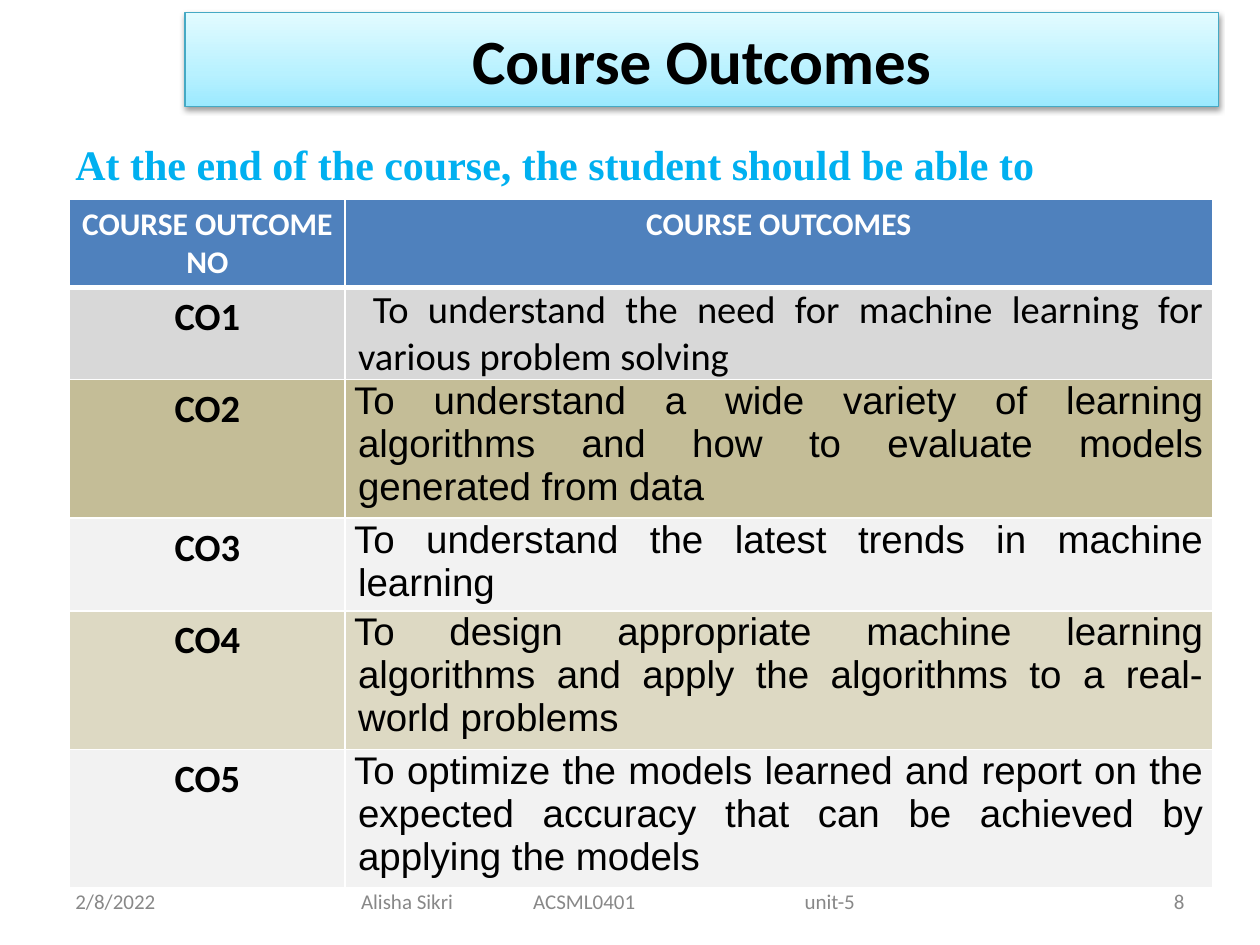
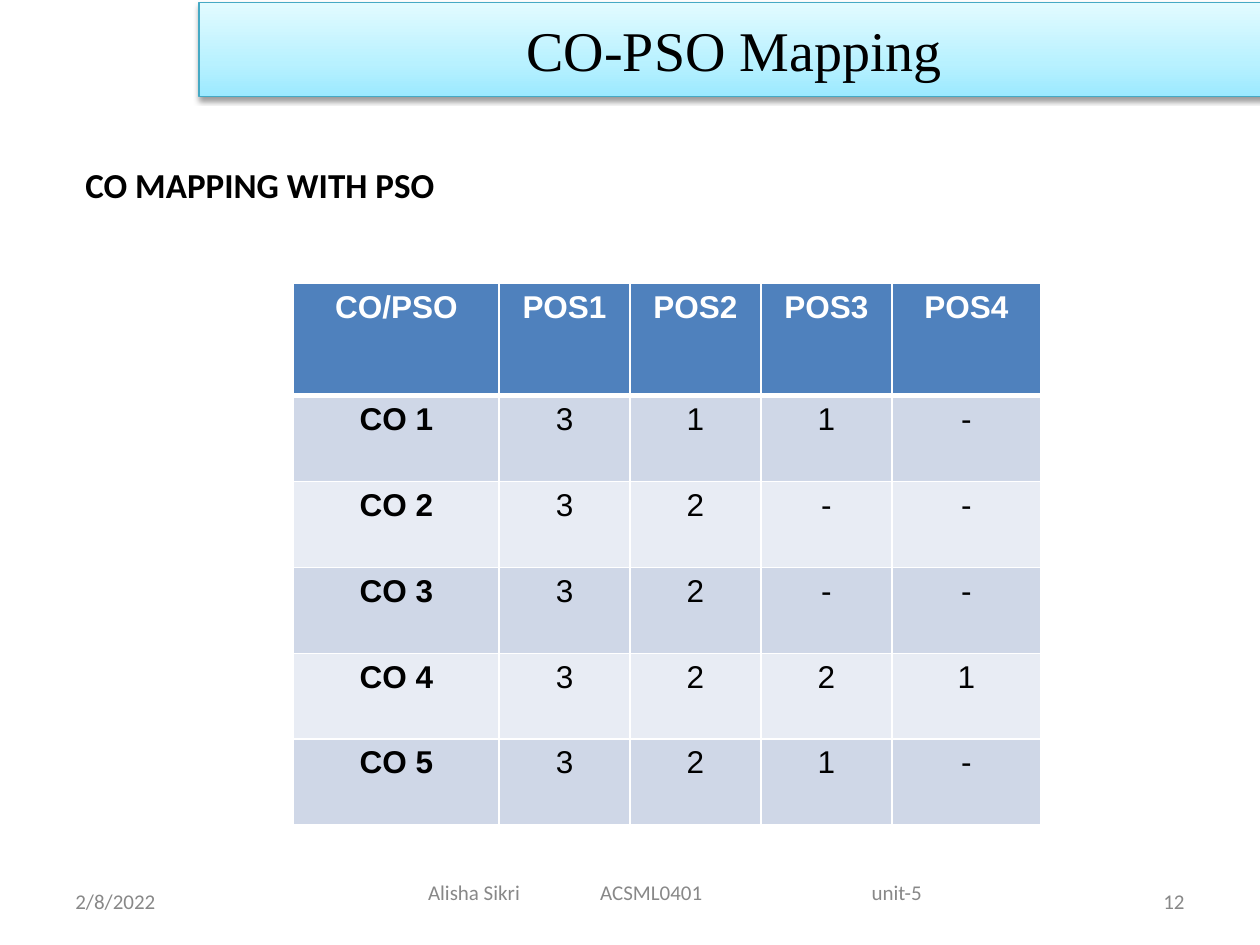
import pptx
import pptx.util
import pptx.dml.color
import pptx.enum.shapes
import pptx.enum.text
import pptx.oxml
import pptx.oxml.ns
from lxml import etree

Cm = pptx.util.Cm
Pt = pptx.util.Pt
qn = pptx.oxml.ns.qn
ALIGN = pptx.enum.text.PP_ALIGN
ANCHOR = pptx.enum.text.MSO_ANCHOR

SANS, ARIAL, SERIF = "Calibri", "Arial", "Times New Roman"
BLACK, WHITE, GREY = "000000", "FFFFFF", "888888"
HEADER, SKY, BAND_LINE = "4F81BD", "00B0F0", "45A9C4"
BAND_STOPS = [(0, "9BE9FF"), (35, "B8F1FF"), (100, "E2FBFF")]
OUTCOME_FILLS = ["D8D8D8", "C4BD97", "F2F2F2", "DDD9C3", "F2F2F2"]
MAPPING_FILLS = ["CFD7E7", "E8ECF4"]
FOOTER_PARTS = ["Alisha Sikri", "ACSML0401", "unit-5"]
FOOTER_TABS = [3.47, 8.94]
FOOTER_TEXT_WIDTH = 9.97

OUTCOMES = [
    "To understand the need for machine learning for various problem solving",
    "To understand a wide variety of learning algorithms and how to evaluate models generated from data",
    "To understand the latest trends in machine learning",
    "To design appropriate machine learning algorithms and apply the algorithms to a real-world problems",
    "To optimize the models learned and report on the expected accuracy that can be achieved by applying the models",
]
MAPPING = ["311-", "32--", "32--", "3221", "321-"]


def rgb(value):
    return pptx.dml.color.RGBColor.from_string(value)


def add_xml(parent, tag, **attrs):
    return etree.SubElement(parent, qn(tag), {k: str(v) for k, v in attrs.items()})


def write(tf, text, size, font=SANS, color=BLACK, bold=False, align=ALIGN.LEFT):
    p = tf.paragraphs[0]
    p.text = text
    p.alignment = align
    p.font.size = Pt(size)
    p.font.name = font
    p.font.bold = bold
    p.font.color.rgb = rgb(color)
    return p


def add_text(slide, box, text, size, anchor=ANCHOR.TOP, **style):
    sp = slide.shapes.add_textbox(*map(Cm, box))
    tf = sp.text_frame
    tf.word_wrap = True
    tf.vertical_anchor = anchor
    write(tf, text, size, **style)
    return tf


def add_title_band(slide, box, text, size, **style):
    sp = slide.shapes.add_shape(pptx.enum.shapes.MSO_SHAPE.RECTANGLE, *map(Cm, box))
    sp.shadow.inherit = False
    sp.fill.gradient()
    sp.fill.gradient_angle = 90
    props = sp._element.spPr
    stops = props.find(".//" + qn("a:gsLst"))
    for stop in list(stops):
        stops.remove(stop)
    for position, color in BAND_STOPS:
        stop = add_xml(stops, "a:gs", pos=position * 1000)
        add_xml(stop, "a:srgbClr", val=color)
    sp.line.color.rgb = rgb(BAND_LINE)
    sp.line.width = Pt(0.75)
    shadow = add_xml(props.find(qn("a:effectLst")), "a:outerShdw", blurRad=Pt(3.1),
                     dist=Pt(1.6), dir=5400000, rotWithShape=0)
    add_xml(add_xml(shadow, "a:srgbClr", val=BLACK), "a:alpha", val=38000)
    sp.text_frame.vertical_anchor = ANCHOR.MIDDLE
    write(sp.text_frame, text, size, align=ALIGN.CENTER, **style)


def add_footer(slide, number, box):
    style = dict(size=12, color=GREY, anchor=ANCHOR.MIDDLE)
    add_text(slide, (1.27, 17.65, 5.92, 1.02), "2/8/2022", **style)
    add_text(slide, (18.21, 17.65, 5.92, 1.02), number, align=ALIGN.RIGHT, **style)
    tf = add_text(slide, box, "", **style)
    tf.margin_left = Cm((box[2] - FOOTER_TEXT_WIDTH) / 2)
    p = tf.paragraphs[0]
    props = p._p.get_or_add_pPr()
    for child in list(props):
        props.remove(child)
    tabs = add_xml(props, "a:tabLst")
    for position in FOOTER_TABS:
        add_xml(tabs, "a:tab", pos=Cm(position), algn="l")
    write(tf, "\t".join(FOOTER_PARTS), 12, color=GREY)


def style_cell(cell, fill, bottom_width):
    cell.fill.solid()
    cell.fill.fore_color.rgb = rgb(fill)
    props = cell._tc.get_or_add_tcPr()
    for i, side in enumerate("LRTB"):
        width = bottom_width if side == "B" else 1
        line = add_xml(props, "a:ln" + side, w=Pt(width))
        add_xml(add_xml(line, "a:solidFill"), "a:srgbClr", val=WHITE)
        props.insert(i, line)


def add_grid(slide, left, top, widths, heights, headings, fills, font):
    frame = slide.shapes.add_table(len(heights), len(widths), Cm(left), Cm(top),
                                   Cm(sum(widths)), Cm(sum(heights)))
    table = frame.table
    for column, width in zip(table.columns, widths):
        column.width = Cm(width)
    for i, (row, height) in enumerate(zip(table.rows, heights)):
        row.height = Cm(height)
        for cell in row.cells:
            fill = fills[(i - 1) % len(fills)] if i else HEADER
            style_cell(cell, fill, 1 if i else 3)
    for cell, heading in zip(table.rows[0].cells, headings):
        write(cell.text_frame, heading, 18, font, WHITE, True, ALIGN.CENTER)
    return table


def write_outcome(cell, text, font, indent):
    cell.margin_left = cell.margin_right = Cm(0.18)
    cell.margin_top = cell.margin_bottom = 0
    p = write(cell.text_frame, text, 22, font, align=ALIGN.JUSTIFY)
    props = p._p.get_or_add_pPr()
    props.set("marL", str(Cm(0.08)))
    props.set("indent", str(Cm(indent)))


def build_outcomes(slide):
    add_title_band(slide, (3.73, 0.25, 20.83, 1.9), "Course Outcomes", 36, bold=True)
    add_text(slide, (1.27, 2.67, 20.12, 1.27),
             "At the end of the course, the student should be able to", 24,
             font=SERIF, color=SKY, bold=True)
    add_footer(slide, "8", (1.47, 17.65, 21.59, 1.02))
    table = add_grid(slide, 1.4, 4.01, [5.56, 17.48], [1.78, 1.85, 2.79, 1.87, 2.79, 2.79],
                     ["COURSE OUTCOME NO", "COURSE OUTCOMES"], OUTCOME_FILLS, SANS)
    for i, outcome in enumerate(OUTCOMES, 1):
        write(table.cell(i, 0).text_frame, f"CO{i}", 22, bold=True, align=ALIGN.CENTER)
        font, indent = (SANS, 0.3) if i == 1 else (ARIAL, -0.08)
        write_outcome(table.cell(i, 1), outcome, font, indent)


def build_mapping(slide):
    add_title_band(slide, (4.01, 0.05, 21.59, 1.9), "CO-PSO Mapping", 32, font=SERIF)
    add_text(slide, (1.47, 3.18, 22.86, 1.27), "CO MAPPING WITH PSO", 20, bold=True)
    add_footer(slide, "12", (5.51, 17.58, 16.21, 0.81))
    headings = ["CO/PSO"] + [f"POS{i}" for i in range(1, 5)]
    table = add_grid(slide, 5.92, 5.72, [4.14] + [2.64] * 3 + [3], [2.26] + [1.73] * 5,
                     headings, MAPPING_FILLS, ARIAL)
    for i, levels in enumerate(MAPPING, 1):
        for j, text in enumerate([f"CO {i}", *levels]):
            write(table.cell(i, j).text_frame, text, 18, ARIAL, bold=j == 0,
                  align=ALIGN.CENTER)


def main():
    prs = pptx.Presentation()
    prs.slide_width, prs.slide_height = Cm(25.4), Cm(19.05)
    for build in (build_outcomes, build_mapping):
        build(prs.slides.add_slide(prs.slide_layouts[6]))
    prs.save("out.pptx")


if __name__ == "__main__":
    main()
